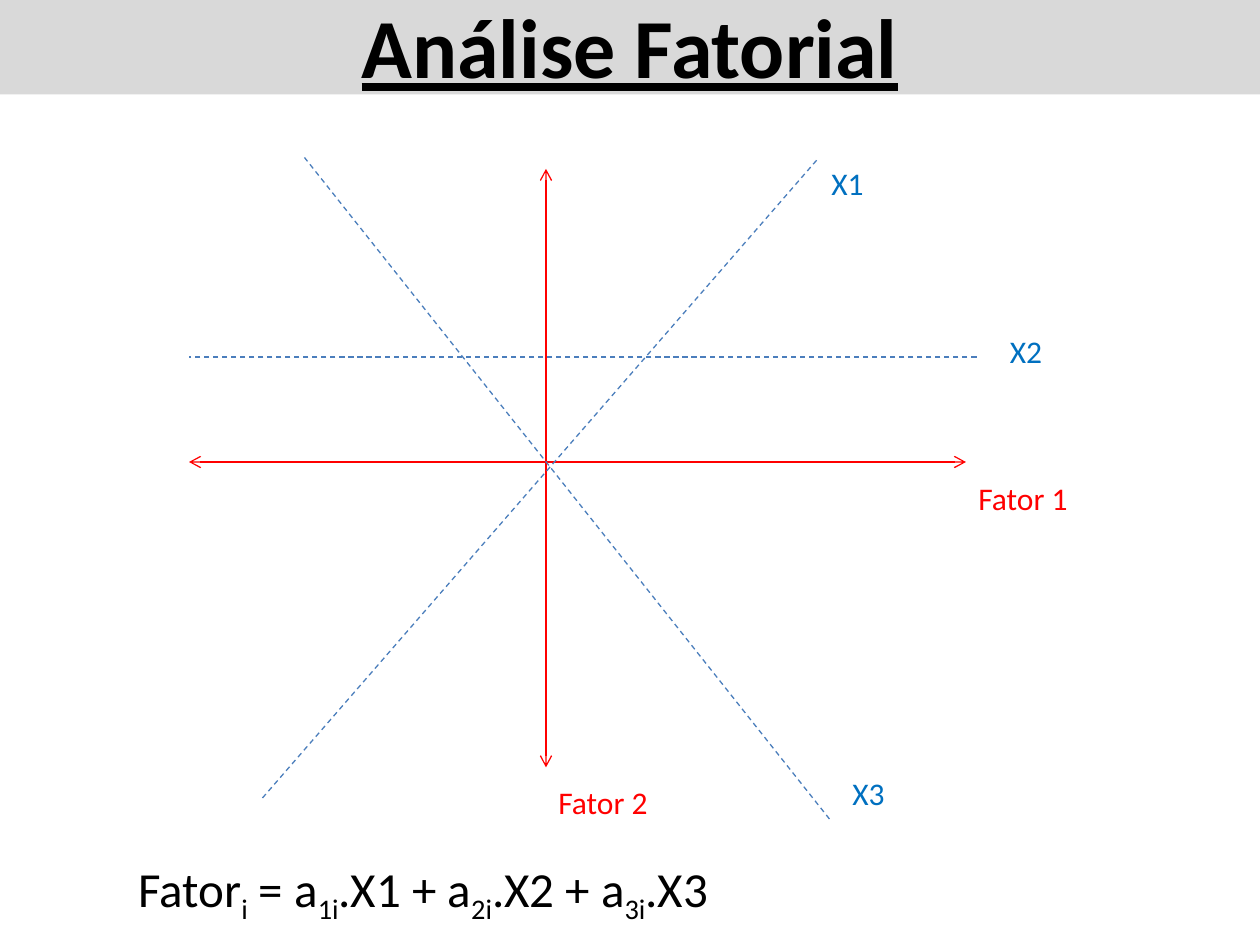
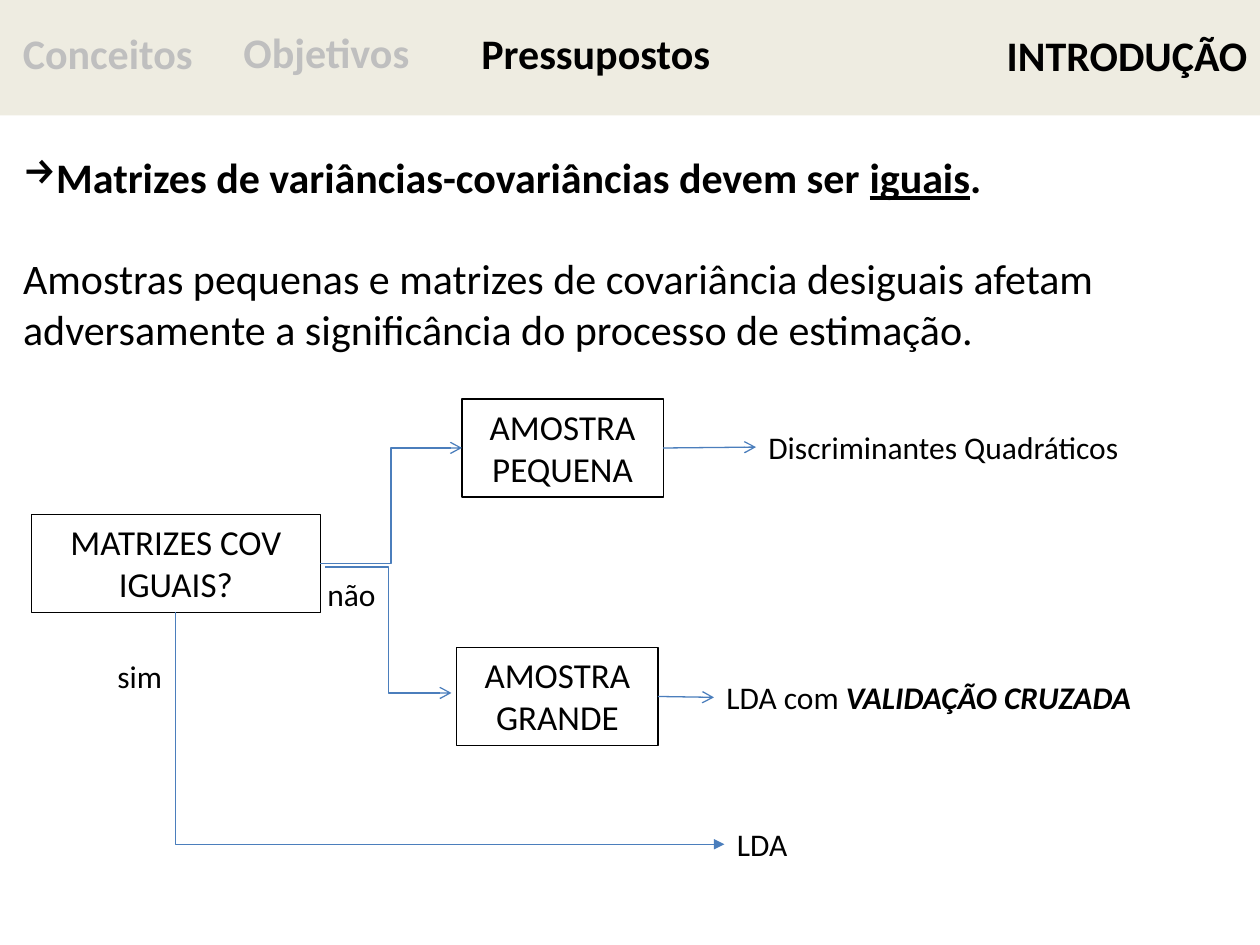
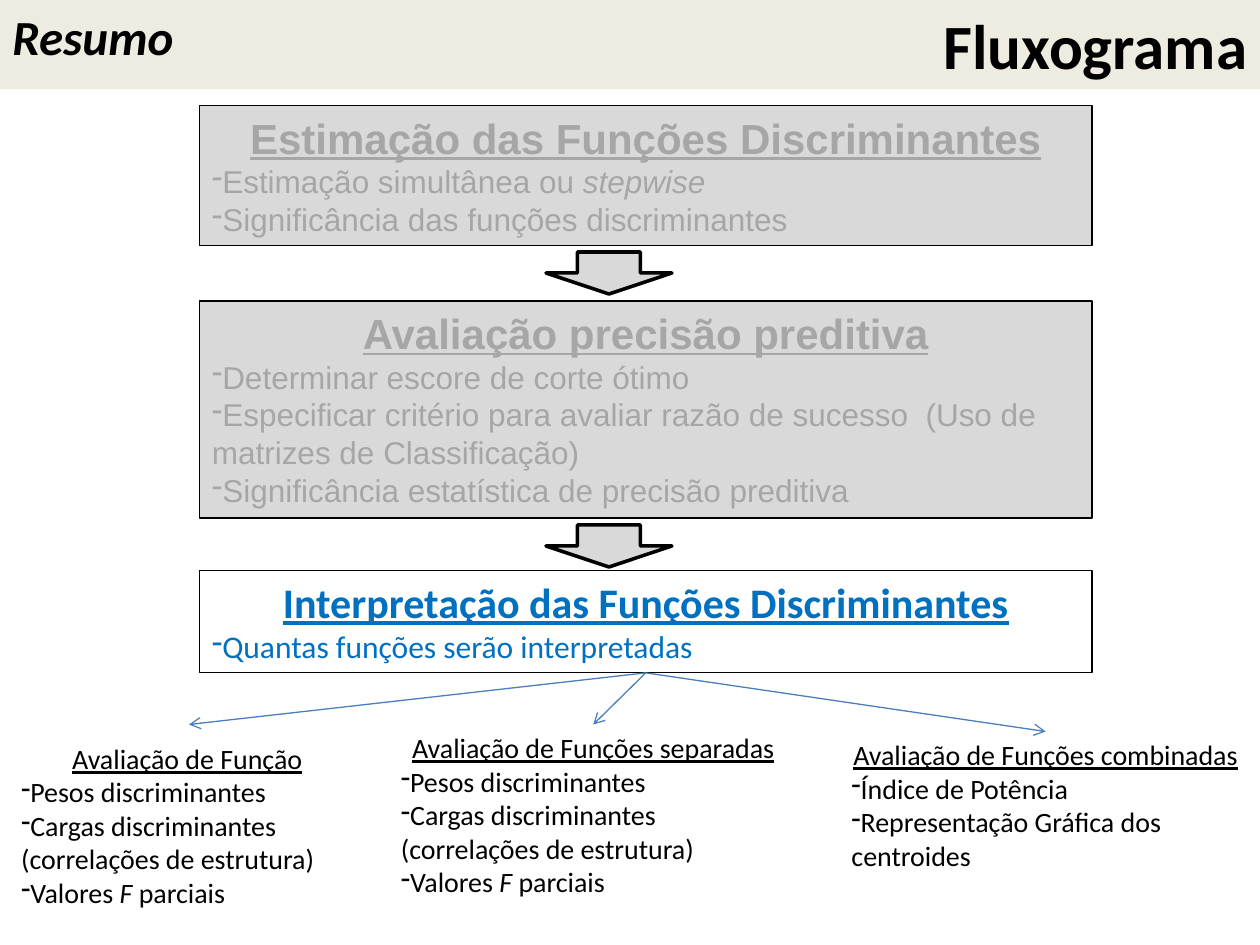
import lxml.etree
import pptx
import pptx.dml.color
import pptx.enum.dml
import pptx.enum.shapes
import pptx.enum.text
import pptx.oxml.ns
import pptx.util

Pt = pptx.util.Pt
RGB = pptx.dml.color.RGBColor.from_string
ALIGN = pptx.enum.text.PP_ALIGN
ANCHOR = pptx.enum.text.MSO_ANCHOR
RECTANGLE = pptx.enum.shapes.MSO_SHAPE.RECTANGLE
DOWN_ARROW = pptx.enum.shapes.MSO_SHAPE.DOWN_ARROW
STRAIGHT = pptx.enum.shapes.MSO_CONNECTOR.STRAIGHT
ELBOW = pptx.enum.shapes.MSO_CONNECTOR.ELBOW
TOP, LEFT, BOTTOM, RIGHT = range(4)


class Theme:
    font = "Calibri"
    box_font = "Arial"
    black = RGB("000000")
    gray_band = RGB("D9D9D9")
    cream_band = RGB("EEECE1")
    inactive_tab = RGB("BFBFBF")
    inactive_text = RGB("A6A6A6")
    red = RGB("FF0000")
    blue = RGB("0070C0")
    line_blue = RGB("4B7EBC")
    main_title = 48
    flow_title = 36
    large = 28
    heading = 24
    box = 20
    label = 18
    note = 16
    thin = 0.75
    thick = 2


def write(shape, paragraphs, size, color=Theme.black, font=Theme.font, list_size=None):
    text_frame = shape.text_frame
    text_frame.word_wrap = True
    text_frame.auto_size = pptx.enum.text.MSO_AUTO_SIZE.NONE
    text_frame.vertical_anchor = ANCHOR.TOP
    alignments = {"center": ALIGN.CENTER, "right": ALIGN.RIGHT}
    bullets = {"dash": "-", "arrow": "→"}
    for index, (kind, runs) in enumerate(paragraphs):
        paragraph = text_frame.add_paragraph() if index else text_frame.paragraphs[0]
        paragraph.alignment = alignments.get(kind, ALIGN.LEFT)
        paragraph.space_before = Pt(0)
        properties = paragraph._p.get_or_add_pPr()
        properties.set("marL", "0")
        properties.set("indent", "0")
        if kind in bullets:
            lxml.etree.SubElement(properties, pptx.oxml.ns.qn("a:buFontTx"))
            bullet = lxml.etree.SubElement(properties, pptx.oxml.ns.qn("a:buChar"))
            bullet.set("char", bullets[kind])
        else:
            lxml.etree.SubElement(properties, pptx.oxml.ns.qn("a:buNone"))
        for text, marks in runs:
            run = paragraph.add_run()
            run.text = text
            run.font.name = font
            run.font.size = Pt(list_size if list_size and kind == "dash" else size)
            run.font.color.rgb = color
            run.font.bold = "b" in marks
            run.font.italic = "i" in marks
            run.font.underline = "u" in marks
            if "s" in marks:
                run._r.get_or_add_rPr().set("baseline", "-25000")


def add_line(slide, start, end, color=Theme.line_blue, head=None, tail=None, dashed=False, kind=STRAIGHT):
    connector = slide.shapes.add_connector(kind, *[Pt(value) for value in start + end])
    connector.line.color.rgb = color
    connector.line.width = Pt(Theme.thin)
    if dashed:
        connector.line.dash_style = pptx.enum.dml.MSO_LINE.DASH
    outline = connector.line._get_or_add_ln()
    for tag, arrow in (("a:headEnd", head), ("a:tailEnd", tail)):
        if arrow:
            lxml.etree.SubElement(outline, pptx.oxml.ns.qn(tag)).set("type", arrow)
    lxml.etree.SubElement(connector._element.spPr, pptx.oxml.ns.qn("a:effectLst"))
    return connector


presentation = pptx.Presentation()
presentation.slide_width = Pt(720)
presentation.slide_height = Pt(540)

titles = [
    ("Análise Fatorial", "center", "bu", Theme.main_title, 54, Theme.gray_band, 0.9, ANCHOR.TOP, 5),
    ("INTRODUÇÃO", "right", "b", Theme.heading, 66, Theme.cream_band, 0.9, ANCHOR.MIDDLE, 1),
    ("Fluxograma", "right", "b", Theme.flow_title, 51, Theme.cream_band, 1.0, ANCHOR.TOP, 5),
]
slides = []
for text, kind, marks, size, height, fill, spacing, anchor, layout in titles:
    slide = presentation.slides.add_slide(presentation.slide_layouts[layout])
    title = slide.shapes.title
    title.left, title.top, title.width, title.height = Pt(0), Pt(0), Pt(720), Pt(height)
    title.fill.solid()
    title.fill.fore_color.rgb = fill
    write(title, [(kind, [(text, marks)])], size)
    title.text_frame.vertical_anchor = anchor
    title.text_frame.paragraphs[0].line_spacing = spacing
    slides.append(slide)
factor_slide, assumptions_slide, flow_slide = slides

for start, end in [((108, 264), (552, 264)), ((312, 96.5), (312, 438.5))]:
    add_line(factor_slide, start, end, Theme.red, head="arrow", tail="arrow")
for start, end in [((150, 456), (468, 90)), ((474, 468), (174, 90)), ((558, 204), (108, 204))]:
    add_line(factor_slide, start, end, dashed=True)

axis_labels = [
    ("Fator 2", 312, 444, 72, Theme.red),
    ("Fator 1", 552, 270, 72, Theme.red),
    ("X2", 570, 186, 37, Theme.blue),
    ("X1", 468, 90, 37, Theme.blue),
    ("X3", 480, 439, 37, Theme.blue),
]
for text, left, top, width, color in axis_labels:
    label = factor_slide.shapes.add_textbox(Pt(left), Pt(top), Pt(width), Pt(29))
    write(label, [("plain", [(text, "")])], Theme.label, color)

formula = factor_slide.shapes.add_textbox(Pt(72), Pt(487), Pt(400), Pt(41))
formula_parts = ["Fator", "i", " = a", "1i", ".X1 + a", "2i", ".X2 + a", "3i", ".X3"]
formula_runs = [(part, "s" if index % 2 else "") for index, part in enumerate(formula_parts)]
write(formula, [("plain", formula_runs)], Theme.large)

tabs = [
    ("Conceitos", 6, 12, 114, Theme.inactive_tab),
    ("Objetivos", 132, 11.5, 126, Theme.inactive_tab),
    ("Pressupostos", 268, 12, 150, Theme.black),
]
for text, left, top, width, color in tabs:
    tab = assumptions_slide.shapes.add_textbox(Pt(left), Pt(top), Pt(width), Pt(36))
    write(tab, [("plain", [(text, "b")])], Theme.heading, color)

body = assumptions_slide.placeholders[1]
body.left, body.top, body.width, body.height = Pt(6), Pt(83), Pt(702), Pt(124)
write(body, [
    ("arrow", [("Matrizes de variâncias-covariâncias devem ser ", "b"), ("iguais", "bu"), (".", "b")]),
    ("plain", [("Amostras pequenas e matrizes de covariância desiguais afetam "
                "adversamente a significância do processo de estimação.", "")]),
], Theme.heading)
body.text_frame.paragraphs[1].space_before = Pt(29)

decision_boxes = []
for lines, left, top, width in [
    (("MATRIZES COV", "IGUAIS?"), 18, 294, 165),
    (("AMOSTRA", "PEQUENA"), 264, 228, 115),
    (("AMOSTRA", "GRANDE"), 261, 370, 115),
]:
    box = assumptions_slide.shapes.add_shape(RECTANGLE, Pt(left), Pt(top), Pt(width), Pt(56))
    box.shadow.inherit = False
    box.fill.background()
    box.line.color.rgb = Theme.black
    box.line.width = Pt(Theme.thin)
    write(box, [("center", [(line, "")]) for line in lines], Theme.box)
    decision_boxes.append(box)
matrices, small_sample, large_sample = decision_boxes

outcomes = []
for runs, left, top, width in [
    ([("Discriminantes Quadráticos", "")], 432, 241, 237),
    ([("LDA com ", ""), ("VALIDAÇÃO CRUZADA", "bi")], 408, 384, 295),
    ([("LDA", "")], 414, 468, 50),
    ([("sim", "")], 60, 372, 43),
    ([("não", "")], 180, 325, 45),
]:
    label = assumptions_slide.shapes.add_textbox(Pt(left), Pt(top), Pt(width), Pt(29))
    write(label, [("plain", runs)], Theme.label)
    outcomes.append(label)
quadratic, cross_validation, linear = outcomes[:3]

add_line(assumptions_slide, (186, 324), (258, 396), tail="arrow", kind=ELBOW)
for source, target, kind in [
    (matrices, small_sample, ELBOW),
    (small_sample, quadratic, STRAIGHT),
    (large_sample, cross_validation, STRAIGHT),
]:
    connector = add_line(assumptions_slide, (0, 0), (0, 0), tail="arrow", kind=kind)
    connector.begin_connect(source, RIGHT)
    connector.end_connect(target, LEFT)

yes_connector = add_line(assumptions_slide, (414, 482.5), (100.5, 350), head="triangle", kind=ELBOW)
yes_connector._element.spPr.prstGeom.set("prst", "bentConnector2")
yes_connector.begin_connect(linear, LEFT)
yes_connector.end_connect(matrices, BOTTOM)

summary = flow_slide.shapes.add_textbox(Pt(0), Pt(0), Pt(144), Pt(41))
write(summary, [("plain", [("Resumo", "bi")])], Theme.large)

stages = [
    ("Estimação das Funções Discriminantes", 60.5, 80, Theme.gray_band, Theme.inactive_text, Theme.box_font, [
        [("Estimação simultânea ou ", ""), ("stepwise", "i")],
        [("Significância das funções discriminantes", "")],
    ]),
    ("Avaliação precisão preditiva", 172, 124, Theme.gray_band, Theme.inactive_text, Theme.box_font, [
        [("Determinar escore de corte ótimo", "")],
        [("Especificar critério para avaliar razão de sucesso  (Uso de matrizes de Classificação)", "")],
        [("Significância estatística de precisão preditiva", "")],
    ]),
    ("Interpretação das Funções Discriminantes", 326, 58.5, None, Theme.blue, Theme.font, [
        [("Quantas funções serão interpretadas", "")],
    ]),
]
for heading, top, height, fill, color, font, items in stages:
    stage = flow_slide.shapes.add_shape(RECTANGLE, Pt(114), Pt(top), Pt(510), Pt(height))
    stage.shadow.inherit = False
    if fill:
        stage.fill.solid()
        stage.fill.fore_color.rgb = fill
    else:
        stage.fill.background()
    stage.line.color.rgb = Theme.black
    stage.line.width = Pt(Theme.thin)
    paragraphs = [("center", [(heading, "bu")])] + [("dash", item) for item in items]
    write(stage, paragraphs, Theme.heading, color, font, Theme.label)
interpretation = stage

separate_items = [
    [("Pesos discriminantes", "")],
    [("Cargas discriminantes (correlações de estrutura)", "")],
    [("Valores ", ""), ("F", "i"), (" parciais", "")],
]
combined_items = [
    [("Índice de Potência", "")],
    [("Representação Gráfica dos centroides", "")],
]
evaluations = []
for heading, left, top, width, height, items in [
    ("Avaliação de Função", 5, 420, 204, 104, separate_items),
    ("Avaliação de Funções separadas", 222, 414, 234, 124, separate_items),
    ("Avaliação de Funções combinadas", 479.5, 418, 236, 104, combined_items),
]:
    evaluation = flow_slide.shapes.add_textbox(Pt(left), Pt(top), Pt(width), Pt(height))
    paragraphs = [("center", [(heading, "u")])] + [("dash", item) for item in items]
    write(evaluation, paragraphs, Theme.note)
    evaluations.append(evaluation)

for top in (144, 300):
    arrow = flow_slide.shapes.add_shape(DOWN_ARROW, Pt(312), Pt(top), Pt(72), Pt(24))
    arrow.shadow.inherit = False
    arrow.fill.solid()
    arrow.fill.fore_color.rgb = Theme.gray_band
    arrow.line.color.rgb = Theme.black
    arrow.line.width = Pt(Theme.thick)

branches = [add_line(flow_slide, (369, 384.5), (108, 414), tail="arrow") for evaluation in evaluations]
for branch in branches:
    branch.begin_connect(interpretation, BOTTOM)
for branch, evaluation in zip(branches[1:], evaluations[1:]):
    branch.end_connect(evaluation, TOP)

presentation.save("out.pptx")
